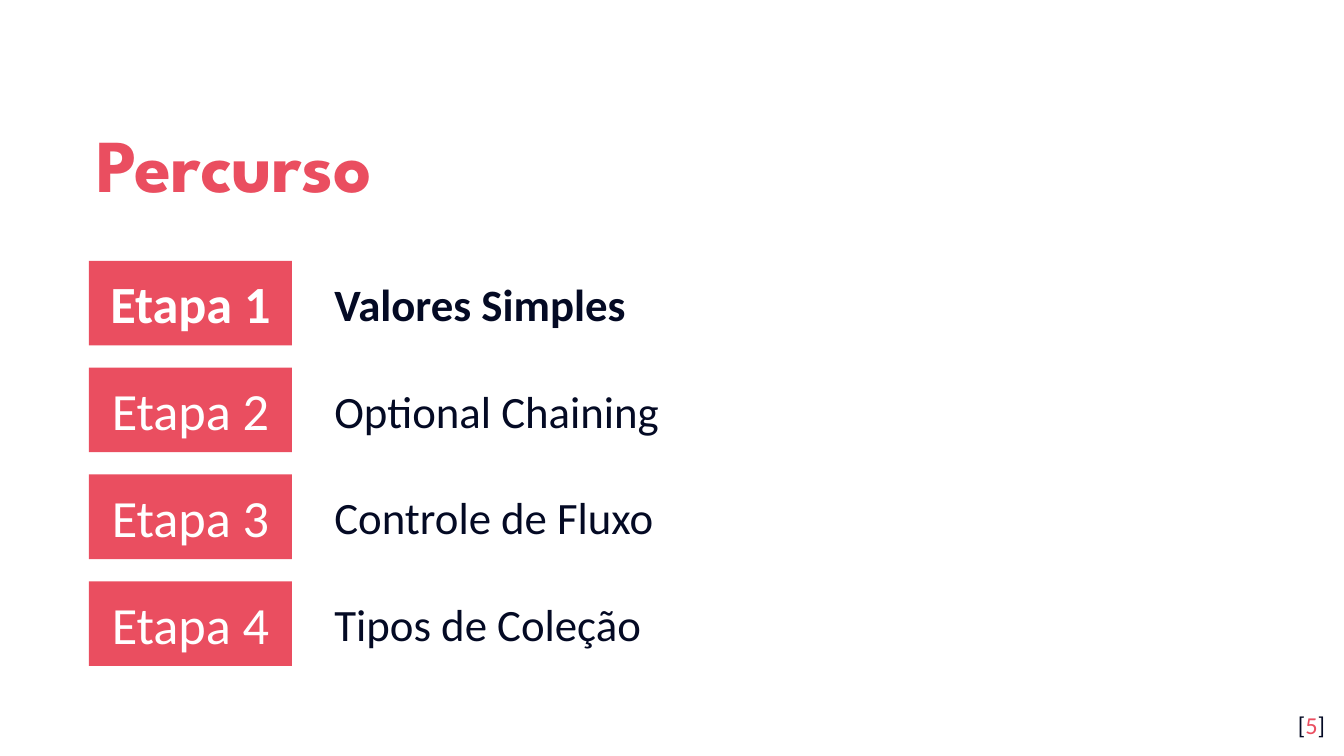
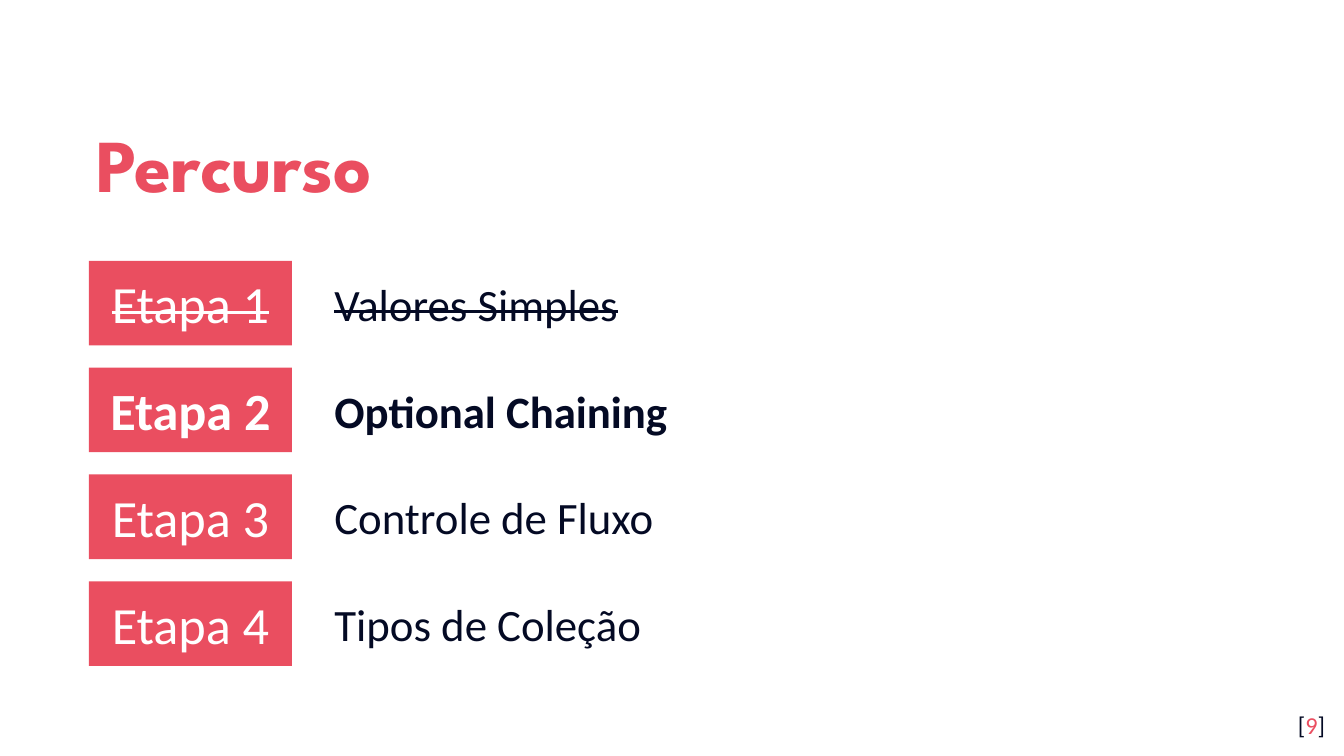
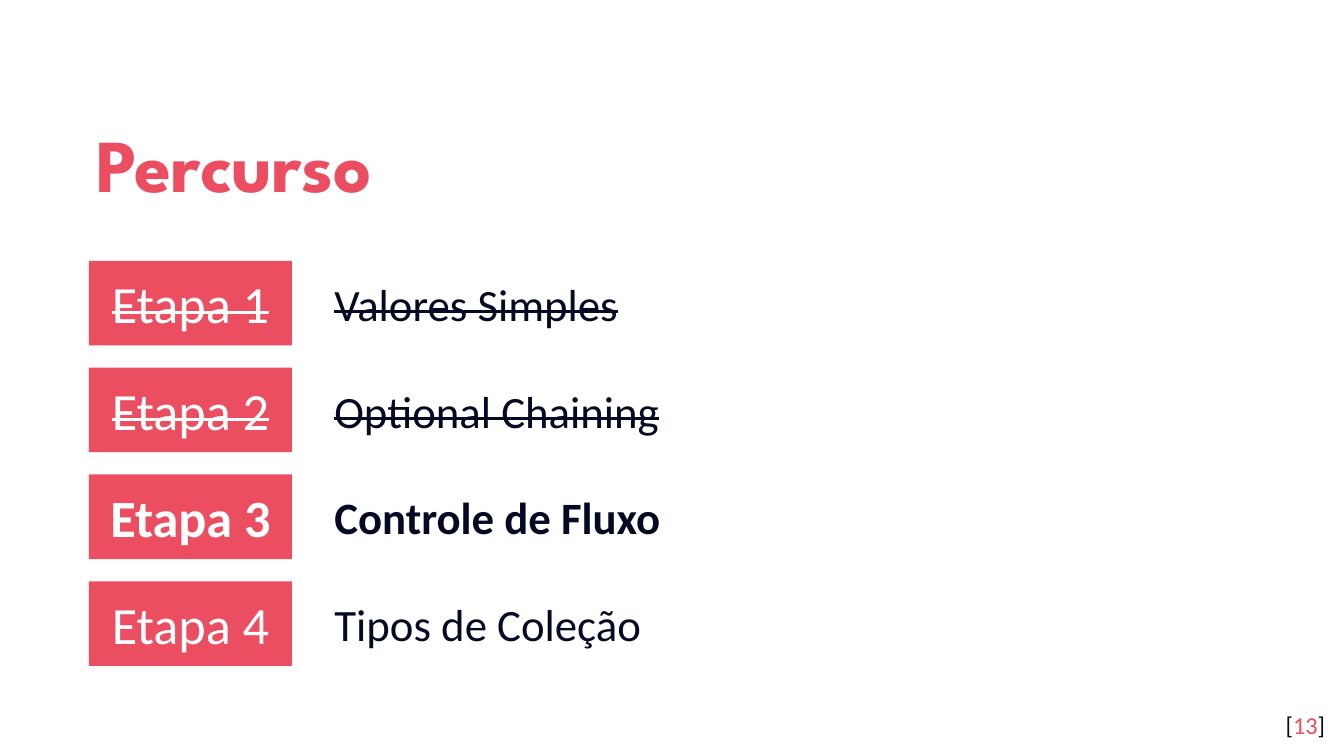
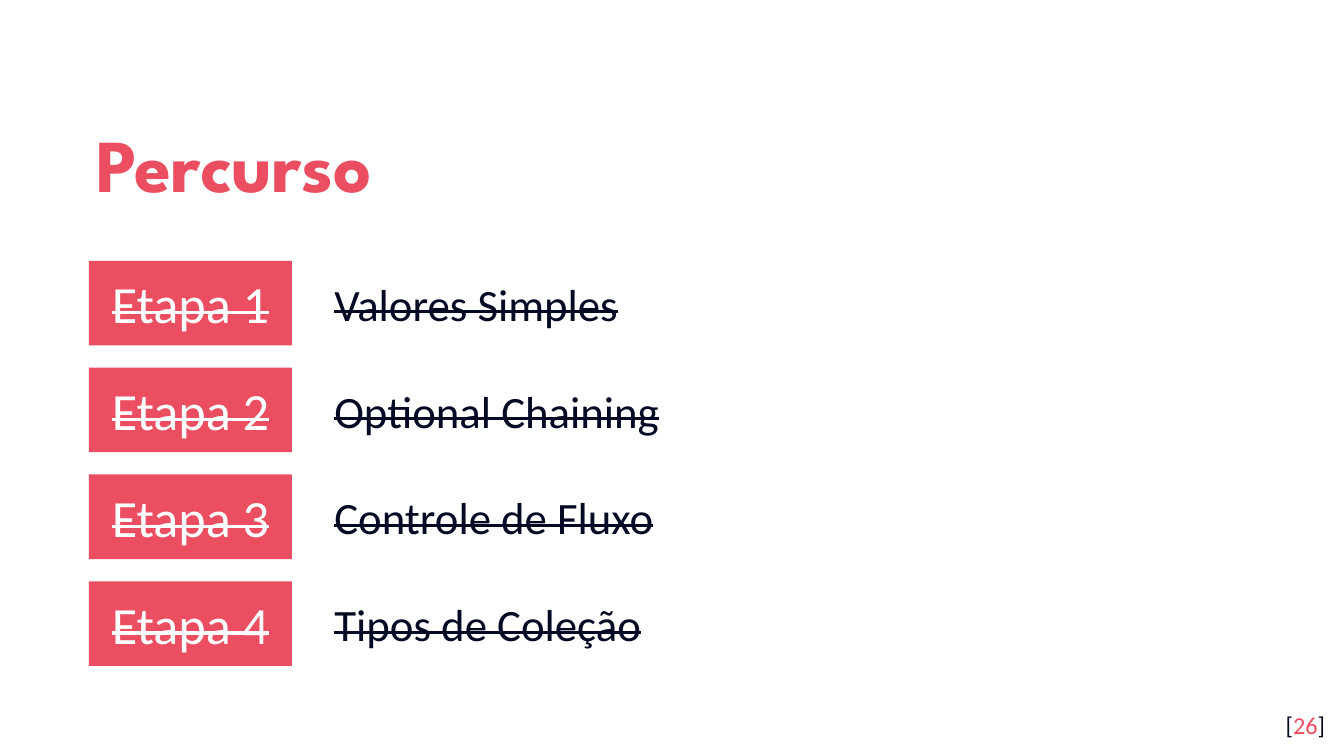
from pptx import Presentation
from pptx.dml.color import RGBColor
from pptx.enum.shapes import MSO_SHAPE
from pptx.enum.text import MSO_ANCHOR, PP_ALIGN
from pptx.util import Cm, Pt

RECT = MSO_SHAPE.RECTANGLE
TOP, MIDDLE = MSO_ANCHOR.TOP, MSO_ANCHOR.MIDDLE
LEFT, CENTER, RIGHT = PP_ALIGN.LEFT, PP_ALIGN.CENTER, PP_ALIGN.RIGHT

# Shared style
PINK, NAVY, WHITE = "EA4E60", "040A24", "FFFFFF"
BODY, HEAD = "Calibri", "League Spartan"
INSET = 0.25

# Step grid, in centimetres
FIRST, PITCH = 4.93, 2.02
BADGE_X, BADGE_W, BADGE_H = 1.68, 3.84, 1.6
TOPIC_X, TOPIC_W, TOPIC_H = 6.07, 17.15, 1.27

TOPICS = ["Valores Simples", "Optional Chaining",
          "Controle de Fluxo", "Tipos de Coleção"]
# Page number and current step; a step past the last means all are done
PAGES = [(5, 1), (9, 2), (13, 3), (26, 5)]


def paint(color, code):
    """Set a fill's or font's colour from a hex string."""
    color.rgb = RGBColor.from_string(code)


def write(shape, text, size=24, color=NAVY, font=BODY, bold=False,
          strike=False, align=LEFT, anchor=TOP, pad=INSET, spacing=None,
          level=0, margin=0, indent=0):
    """Write one paragraph; text is a string or a list of (text, colour)."""
    frame = shape.text_frame
    frame.word_wrap = True
    frame.vertical_anchor = anchor
    frame.margin_left = frame.margin_right = Cm(INSET)
    frame.margin_top = frame.margin_bottom = Cm(pad)
    para = frame.paragraphs[0]
    para.alignment, para.level = align, level
    if spacing:
        para.line_spacing = spacing
    props = para._p.get_or_add_pPr()
    props.set("marL", str(Cm(margin)))
    props.set("indent", str(Cm(indent)))
    parts = [(text, color)] if isinstance(text, str) else text
    for part, code in parts:
        run = para.add_run()
        run.text = part
        run.font.name, run.font.size, run.font.bold = font, Pt(size), bold
        paint(run.font.color, code)
        if strike:
            run._r.get_or_add_rPr().set("strike", "sngStrike")


def label(slide, box, text, **style):
    """Add a text box."""
    shape = slide.shapes.add_textbox(*map(Cm, box))
    write(shape, text, **style)


def badge(slide, box, text, **style):
    """Add a filled rectangle with centred text."""
    shape = slide.shapes.add_shape(RECT, *map(Cm, box))
    shape.shadow.inherit = False
    shape.fill.solid()
    paint(shape.fill.fore_color, PINK)
    shape.line.fill.background()
    write(shape, text, size=28, color=WHITE, align=CENTER, anchor=MIDDLE,
          level=1, **style)


def step(slide, num, topic, now):
    """Add a step: bold when current, struck through when done."""
    top = FIRST + (num - 1) * PITCH
    state = {"bold": num == now, "strike": num < now}
    badge(slide, (BADGE_X, top, BADGE_W, BADGE_H), f"Etapa {num}", **state)
    inner = top + (BADGE_H - TOPIC_H) / 2
    label(slide, (TOPIC_X, inner, TOPIC_W, TOPIC_H), topic,
          pad=0.13, margin=1.27, indent=-1.27, **state)


def build(deck, page, now):
    """Add a route slide."""
    slide = deck.slides.add_slide(deck.slide_layouts[6])
    slide.background.fill.solid()
    paint(slide.background.fill.fore_color, WHITE)
    # Title
    label(slide, (1.57, 1.78, 20.57, 2.34), "Percurso", size=40, color=PINK,
          font=HEAD, bold=True, anchor=MIDDLE, spacing=1.15)
    # Steps
    for num, topic in enumerate(TOPICS, 1):
        step(slide, num, topic, now)
    # Page number
    label(slide, (23.77, 13.18, 1.52, 1.09),
          [("[", NAVY), (str(page), PINK), ("]", NAVY)],
          size=13, align=RIGHT)


def main():
    deck = Presentation()
    deck.slide_width, deck.slide_height = Cm(25.4), Cm(14.29)
    for page, now in PAGES:
        build(deck, page, now)
    deck.save("out.pptx")


if __name__ == "__main__":
    main()
